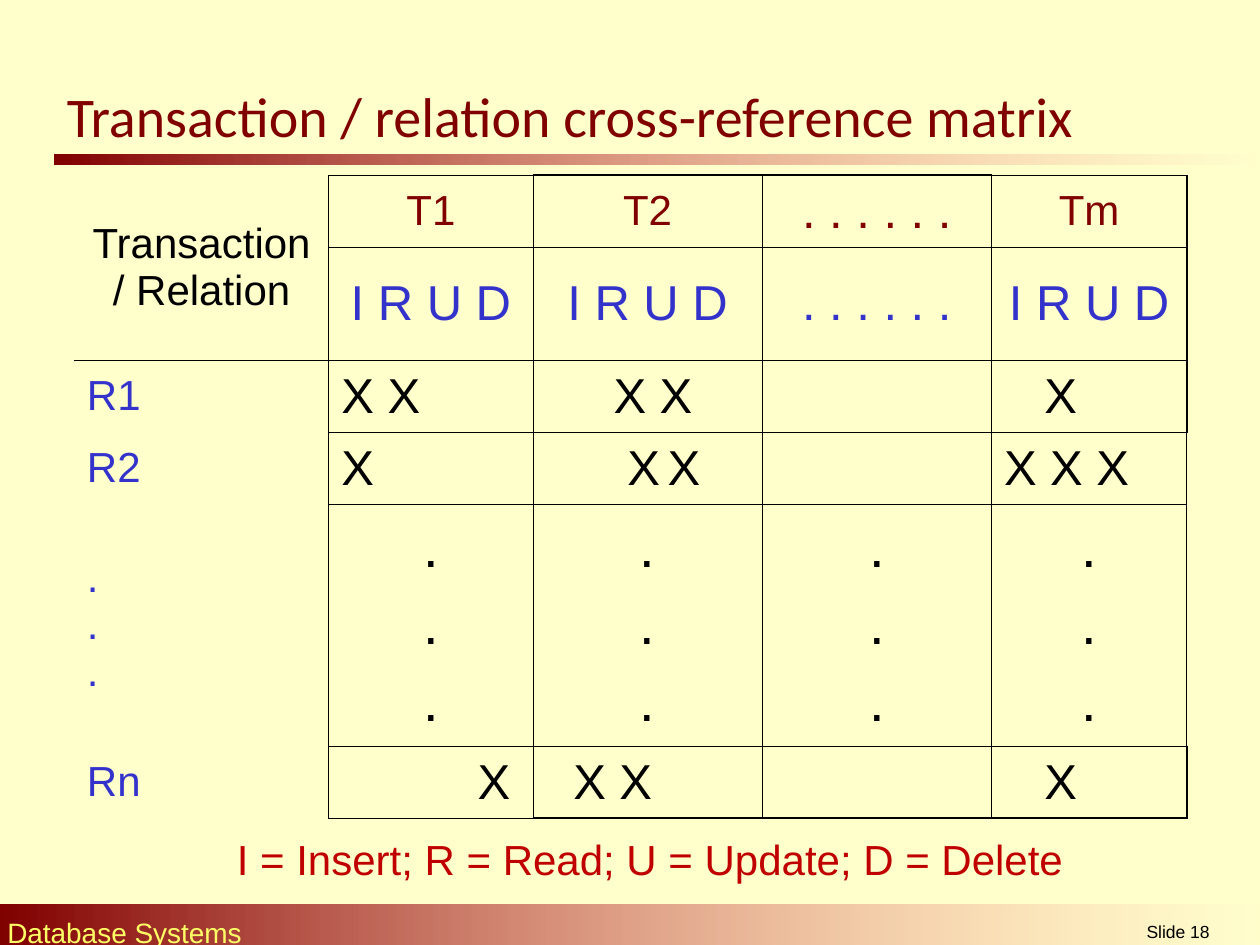
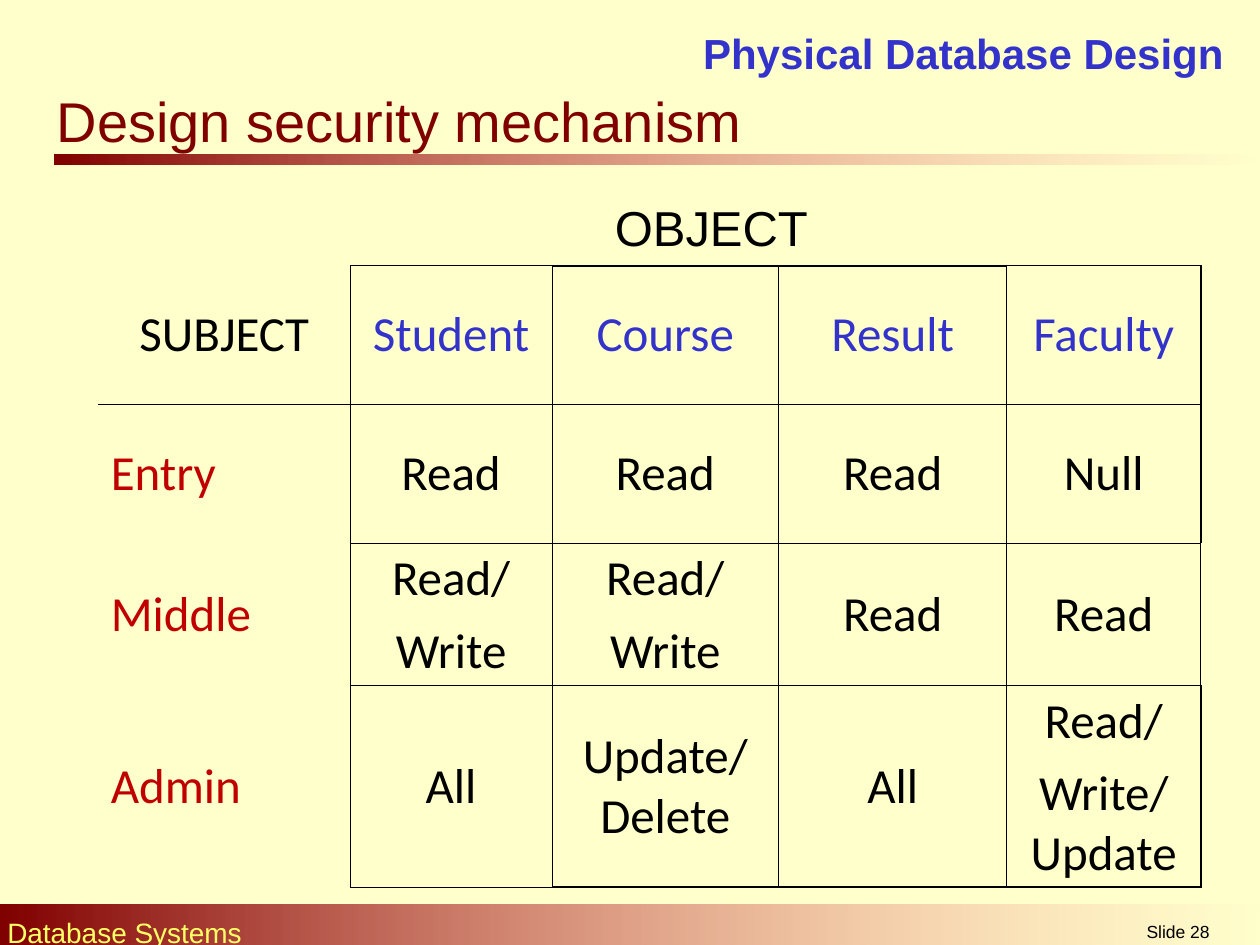
from pptx import Presentation
from pptx.dml.color import RGBColor
from pptx.enum.shapes import MSO_SHAPE
from pptx.enum.text import MSO_ANCHOR, MSO_AUTO_SIZE, PP_ALIGN
from pptx.oxml.ns import qn
from pptx.util import Inches, Pt
from lxml import etree

LEFT, CENTER, RIGHT = PP_ALIGN.LEFT, PP_ALIGN.CENTER, PP_ALIGN.RIGHT
TOP, MIDDLE = MSO_ANCHOR.TOP, MSO_ANCHOR.MIDDLE
RECTANGLE, NO_AUTOFIT = MSO_SHAPE.RECTANGLE, MSO_AUTO_SIZE.NONE
TITLE_ONLY, TITLE_AND_BODY = 5, 1

# Shared look
CREAM, MAROON, PINK, YELLOW = "FFFFCC", "800000", "FF8585", "FFFF66"
BLACK, BLUE, RED = "000000", "3333CC", "C00000"
THIN, THICK = 0.45, 1.08
BANDS = [(0.43, 1.23, 9.57, 0.08), (0, 7.18, 10.03, 0.35)]
COURSE = "Database Systems"

# Content: a cell is text, a list of paragraphs, or (text, format changes)
DOTS = [".", ".", "."]
ELLIPSIS = ". . . . . ."
HEADING = {"size": 24, "color": MAROON, "align": CENTER}
ACTIONS = {"size": 28, "color": BLUE, "align": CENTER}
MARKS = {"size": 28, "color": BLACK}
MORE = {"size": 32, "color": BLACK, "align": CENTER, "gap": 8}
IRUD = "I R U D"
CROSS_REFERENCE = {
    "at": (0.59, 1.39),
    "columns": [2.02, 1.62, 1.82, 1.82, 1.55],
    "header_rows": 2,
    "thick_right_rows": {0, 1, 2, 5},
    "font": "Arial",
    "label": {"size": 24, "color": BLUE},
    # height, row label, cell format, cells
    "rows": [
        (0.57, "Transaction / Relation", HEADING,
         ["T1", "T2", (ELLIPSIS, {"size": 28}), "Tm"]),
        (0.9, None, ACTIONS, [IRUD, IRUD, ELLIPSIS, IRUD]),
        (0.57, "R1", MARKS,
         ["X X", ("X X", {"indent": 0.54}), None, ("X", {"indent": 0.32})]),
        (0.57, "R2", MARKS,
         ["X", ("X\tX", {"indent": 0.65, "tab": 1.34}), None, "X X X"]),
        (1.92, DOTS, MORE, [DOTS] * 4),
        (0.57, "Rn", MARKS,
         [("X", {"indent": 1.08}), ("X X", {"indent": 0.22}), None,
          ("X", {"indent": 0.32})]),
    ],
}
LEGEND = "I = Insert; R = Read; U = Update; D = Delete"

OBJECTS = {"size": 28, "color": BLUE, "align": CENTER}
RIGHTS = {"size": 28, "color": BLACK, "align": CENTER, "gap": 7}
READ_WRITE = ["Read/", "Write"]
ACCESS_RIGHTS = {
    "at": (0.78, 2.11),
    "columns": [2, 1.6, 1.8, 1.81, 1.54],
    "header_rows": 1,
    "thick_right_rows": {0, 1, 3},
    "font": "Calibri",
    "label": {"size": 28, "color": RED},
    "rows": [
        (1.1, "SUBJECT", OBJECTS, ["Student", "Course", "Result", "Faculty"]),
        (1.1, "Entry", RIGHTS, ["Read", "Read", "Read", "Null"]),
        (1.13, "Middle", RIGHTS, [READ_WRITE, READ_WRITE, "Read", "Read"]),
        (1.6, "Admin", RIGHTS,
         ["All", "Update/ Delete", "All", ["Read/", "Write/ Update"]]),
    ],
}


def rgb(color):
    return RGBColor.from_string(color)


def write(frame, content, size, color, font="Arial", align=LEFT, bold=False,
          gap=0, indent=0, tab=None):
    """Fill a text frame, one paragraph for each string."""
    paragraphs = [content] if isinstance(content, str) else content
    for i, text in enumerate(paragraphs):
        paragraph = frame.add_paragraph() if i else frame.paragraphs[0]
        paragraph.alignment = align
        paragraph.space_before = Pt(gap if i else 0)
        props = paragraph._p.get_or_add_pPr()
        props.set("marL", "0")
        props.set("indent", str(Inches(indent)))
        etree.SubElement(props, qn("a:buNone"))
        if tab:
            stops = etree.SubElement(props, qn("a:tabLst"))
            etree.SubElement(stops, qn("a:tab"), pos=str(Inches(tab)), algn="l")
        run = paragraph.add_run()
        run.text = text
        run.font.name, run.font.size, run.font.bold = font, Pt(size), bold
        run.font.color.rgb = rgb(color)


def place(shape, box):
    shape.left, shape.top, shape.width, shape.height = map(Inches, box)


def add_label(slide, box, text, size, color, anchor=TOP, **style):
    frame = slide.shapes.add_textbox(*map(Inches, box)).text_frame
    frame.word_wrap = True
    frame.vertical_anchor = anchor
    write(frame, text, size, color, **style)


def fill_placeholder(placeholder, box, text, size, color, anchor, **style):
    place(placeholder, box)
    frame = placeholder.text_frame
    frame.auto_size = NO_AUTOFIT
    frame.vertical_anchor = anchor
    write(frame, text, size, color, **style)


def add_band(slide, box):
    """Bar that fades from maroon to clear."""
    band = slide.shapes.add_shape(RECTANGLE, *map(Inches, box))
    band.shadow.inherit = False
    band.line.fill.background()
    band.fill.gradient()
    band.fill.gradient_angle = 0
    for stop, color in zip(band.fill.gradient_stops, (MAROON, PINK)):
        stop.color.rgb = rgb(color)
    end_color = list(band._element.spPr.iter(qn("a:srgbClr")))[-1]
    etree.SubElement(end_color, qn("a:alpha"), val="0")


def start_slide(prs, layout, number, title, box, anchor, font):
    slide = prs.slides.add_slide(prs.slide_layouts[layout])
    for band in BANDS:
        add_band(slide, band)
    add_label(slide, (-0.04, 7.22, 6.46, 0.37), COURSE, 16, YELLOW)
    add_label(slide, (8.31, 7.26, 2.08, 0.24), f"Slide {number}", 10, BLACK,
              align=CENTER)
    fill_placeholder(slide.shapes.title, box, title, 32, MAROON, anchor,
                     font=font)
    return slide


def set_borders(cell, widths):
    """Draw left, right, top and bottom; a width of 0 hides the edge."""
    props = cell._tc.get_or_add_tcPr()
    for i, (edge, width) in enumerate(zip("LRTB", widths)):
        line = etree.Element(qn(f"a:ln{edge}"), w=str(Pt(width)))
        if width:
            fill = etree.SubElement(line, qn("a:solidFill"))
            etree.SubElement(fill, qn("a:srgbClr"), val=BLACK)
        else:
            etree.SubElement(line, qn("a:noFill"))
        props.insert(i, line)


def border_widths(matrix, row, col):
    header, last_row = matrix["header_rows"], len(matrix["rows"]) - 1
    last_col = len(matrix["columns"]) - 1
    if col == 0:
        return (0, THIN, THIN if row == header else 0,
                THIN if row == header - 1 else 0)
    right = col == last_col and row in matrix["thick_right_rows"]
    top = row == 0 and 1 < col < last_col
    bottom = row == last_row and col > 1
    return (THIN, *(THICK if thick else THIN for thick in (right, top, bottom)))


def add_matrix(slide, matrix):
    rows, columns = matrix["rows"], matrix["columns"]
    size = sum(columns), sum(row[0] for row in rows)
    table = slide.shapes.add_table(
        len(rows), len(columns), *map(Inches, matrix["at"] + size)).table
    table.first_row = table.horz_banding = False
    for column, width in zip(table.columns, columns):
        column.width = Inches(width)
    for r, (height, label, row_style, entries) in enumerate(rows):
        table.rows[r].height = Inches(height)
        label_style = dict(matrix["label"])
        if r < matrix["header_rows"]:
            label_style.update(color=BLACK, align=CENTER)
        for c, entry in enumerate([label] + entries):
            cell = table.cell(r, c)
            cell.fill.background()
            cell.vertical_anchor = MIDDLE
            set_borders(cell, border_widths(matrix, r, c))
            content, changes = entry if isinstance(entry, tuple) else (entry, {})
            if content:
                style = row_style if c else label_style
                write(cell.text_frame, content, font=matrix["font"],
                      **{**style, **changes})
    if matrix["header_rows"] > 1:
        table.cell(0, 0).merge(table.cell(matrix["header_rows"] - 1, 0))


def main():
    prs = Presentation()
    prs.slide_width, prs.slide_height = Inches(10), Inches(7.5)
    background = prs.slide_master.background.fill
    background.solid()
    background.fore_color.rgb = rgb(CREAM)

    # Cross-reference matrix
    slide = start_slide(prs, TITLE_ONLY, 18,
                        "Transaction / relation cross-reference matrix",
                        (0.43, 0.6, 8.46, 0.62), MIDDLE, "Calibri")
    add_matrix(slide, CROSS_REFERENCE)
    add_label(slide, (1.46, 6.57, 7.4, 0.5), LEGEND, 24, RED, align=CENTER)

    # Security mechanism
    slide = start_slide(prs, TITLE_AND_BODY, 28, "Design security mechanism",
                        (0.35, 0.64, 6.93, 0.66), TOP, "Arial")
    add_label(slide, (5.24, 0.21, 4.57, 0.42), "Physical Database Design", 24,
              BLUE, MIDDLE, align=RIGHT, bold=True)
    body = slide.placeholders[1]
    body.text_frame.margin_top = Inches(0.26)
    fill_placeholder(body, (0.43, 1.31, 9.29, 5.67), "OBJECT", 28, BLACK, TOP,
                     indent=4.35)
    add_matrix(slide, ACCESS_RIGHTS)

    prs.save("out.pptx")


if __name__ == "__main__":
    main()
